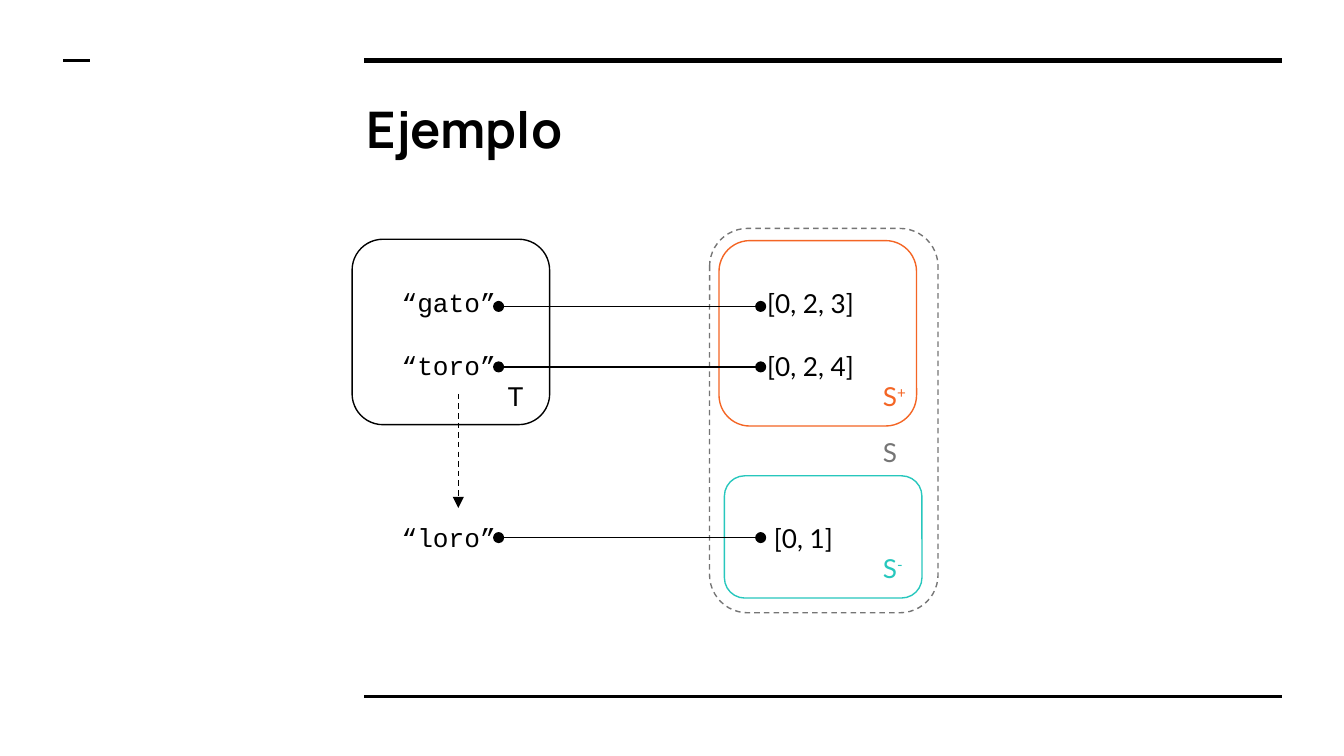
from dataclasses import dataclass
from typing import Optional

from lxml.etree import SubElement
from pptx import Presentation
from pptx.dml.color import RGBColor as Rgb
from pptx.enum.dml import MSO_LINE as Dash
from pptx.enum.shapes import MSO_CONNECTOR as Link, MSO_SHAPE as Form
from pptx.enum.text import MSO_ANCHOR as Anchor, MSO_AUTO_SIZE as Fit, PP_ALIGN as Align
from pptx.oxml.ns import qn
from pptx.util import Inches, Pt

COLORS = {"ink": "000000", "gray": "757575", "plus": "F46524", "minus": "27C7BD"}
MONO, SANS, HEAD = "Courier New", "Lato", "Manrope"
WIDTH = 10
HEIGHT = WIDTH * 9 / 16


@dataclass
class Frame:
    left: float
    top: float
    width: float
    height: float
    color: str
    dash: bool = False


@dataclass
class Label:
    left: float
    top: float
    width: float
    height: float
    lines: list[str]
    font: str = SANS
    color: str = "ink"
    power: str = ""


@dataclass
class Line:
    x1: float
    y1: float
    x2: float
    y2: float
    width: float = 0.75
    head: Optional[str] = None
    tail: Optional[str] = None
    dash: bool = False


def tint(name: str) -> Rgb:
    return Rgb.from_string(COLORS[name])


def style(line, color: str, width: float, dash: bool) -> None:
    line.color.rgb = tint(color)
    line.width = Pt(width)
    if dash:
        line.dash_style = Dash.DASH


def add_run(para, text: str, font: str, size: float, color: str, bold: bool = False):
    run = para.add_run()
    run.text = text
    run.font.name = font
    run.font.size = Pt(size)
    run.font.bold = bold
    run.font.color.rgb = tint(color)
    return run


def pad(body) -> None:
    body.margin_left = body.margin_right = Inches(0.1)
    body.margin_top = body.margin_bottom = Inches(0.1)
    body.word_wrap = True


def draw_frame(slide, frame: Frame) -> None:
    box = slide.shapes.add_shape(
        Form.ROUNDED_RECTANGLE, Inches(frame.left), Inches(frame.top),
        Inches(frame.width), Inches(frame.height))
    box.shadow.inherit = False
    box.fill.background()
    style(box.line, frame.color, 0.75, frame.dash)


def draw_label(slide, label: Label) -> None:
    box = slide.shapes.add_textbox(
        Inches(label.left), Inches(label.top), Inches(label.width), Inches(label.height))
    body = box.text_frame
    pad(body)
    body.auto_size = Fit.SHAPE_TO_FIT_TEXT
    for index, text in enumerate(label.lines):
        para = body.add_paragraph() if index else body.paragraphs[0]
        if index:
            para.space_before = Pt(17)
        add_run(para, text, label.font, 14, label.color)
    if label.power:
        run = add_run(para, label.power, label.font, 14, label.color)
        run._r.get_or_add_rPr().set("baseline", "30000")


def draw_line(slide, line: Line) -> None:
    link = slide.shapes.add_connector(
        Link.STRAIGHT, Inches(line.x1), Inches(line.y1), Inches(line.x2), Inches(line.y2))
    style(link.line, "ink", line.width, line.dash)
    props = link._element.spPr
    stroke = props.find(qn("a:ln"))
    for tag, kind in (("a:headEnd", line.head), ("a:tailEnd", line.tail)):
        if kind:
            SubElement(stroke, qn(tag)).set("type", kind)
    SubElement(props, qn("a:effectLst"))


def draw_title(slide, text: str) -> None:
    title = slide.shapes.title
    title.left, title.top = Inches(2.63), Inches(0.61)
    title.width, title.height = Inches(6.91), Inches(0.69)
    body = title.text_frame
    pad(body)
    body.auto_size = Fit.NONE
    body.vertical_anchor = Anchor.MIDDLE
    para = body.paragraphs[0]
    para.alignment = Align.LEFT
    add_run(para, text, HEAD, 27, "ink", True)


RULES = [
    Line(2.71, 0.45, 9.54, 0.45, 3),
    Line(2.71, 5.18, 9.54, 5.18, 1.5),
    Line(0.47, 0.45, 0.67, 0.45, 1.5),
]
FRAMES = [
    Frame(5.28, 1.7, 1.7, 2.86, "gray", True),
    Frame(2.62, 1.78, 1.47, 1.38, "ink"),
    Frame(5.35, 1.79, 1.47, 1.38, "plus"),
    Frame(5.39, 3.54, 1.47, 0.91, "minus"),
]
LABELS = [
    Label(2.89, 2.03, 1.04, 0.91, ["“gato”", "“toro”"], MONO),
    Label(5.61, 2.04, 1.04, 0.91, ["[0, 2, 3]", "[0, 2, 4]"]),
    Label(5.66, 3.79, 1.04, 0.44, ["[0, 1]"]),
    Label(2.89, 3.78, 1.04, 0.44, ["“loro”"], MONO),
    Label(3.68, 2.73, 0.51, 0.44, ["T"]),
    Label(6.47, 2.73, 0.51, 0.44, ["S"], color="plus", power="+"),
    Label(6.47, 3.15, 0.51, 0.44, ["S"], color="gray"),
    Label(6.47, 4.01, 0.51, 0.44, ["S"], color="minus", power="-"),
]
LINKS = [Line(3.41, 2.93, 3.41, 3.78, tail="triangle", dash=True)]
LINKS += [Line(3.71, y, 5.66, y, head="oval", tail="oval") for y in (2.28, 2.73, 4)]


def main() -> None:
    deck = Presentation()
    deck.slide_width, deck.slide_height = Inches(WIDTH), Inches(HEIGHT)
    slide = deck.slides.add_slide(deck.slide_layouts[5])
    draw_title(slide, "Ejemplo")
    for frame in FRAMES:
        draw_frame(slide, frame)
    for label in LABELS:
        draw_label(slide, label)
    for line in RULES + LINKS:
        draw_line(slide, line)
    deck.save("out.pptx")


if __name__ == "__main__":
    main()
